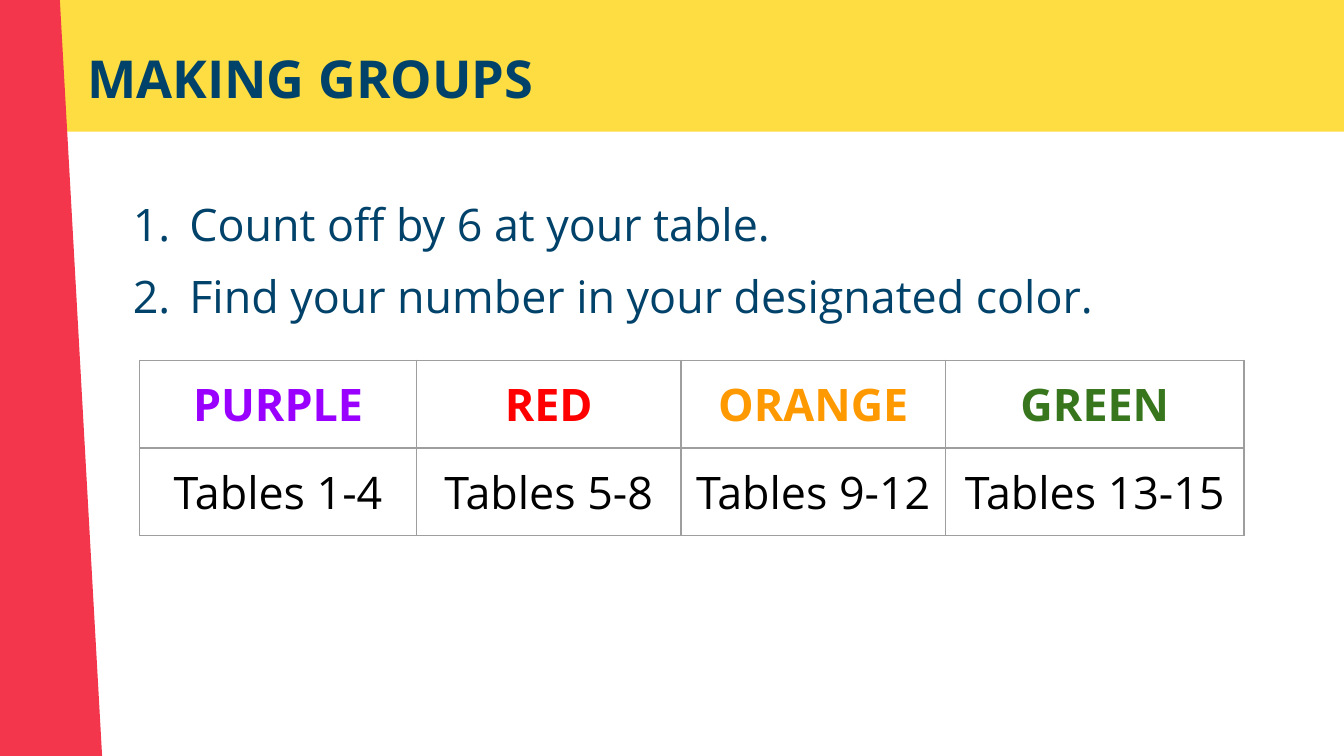
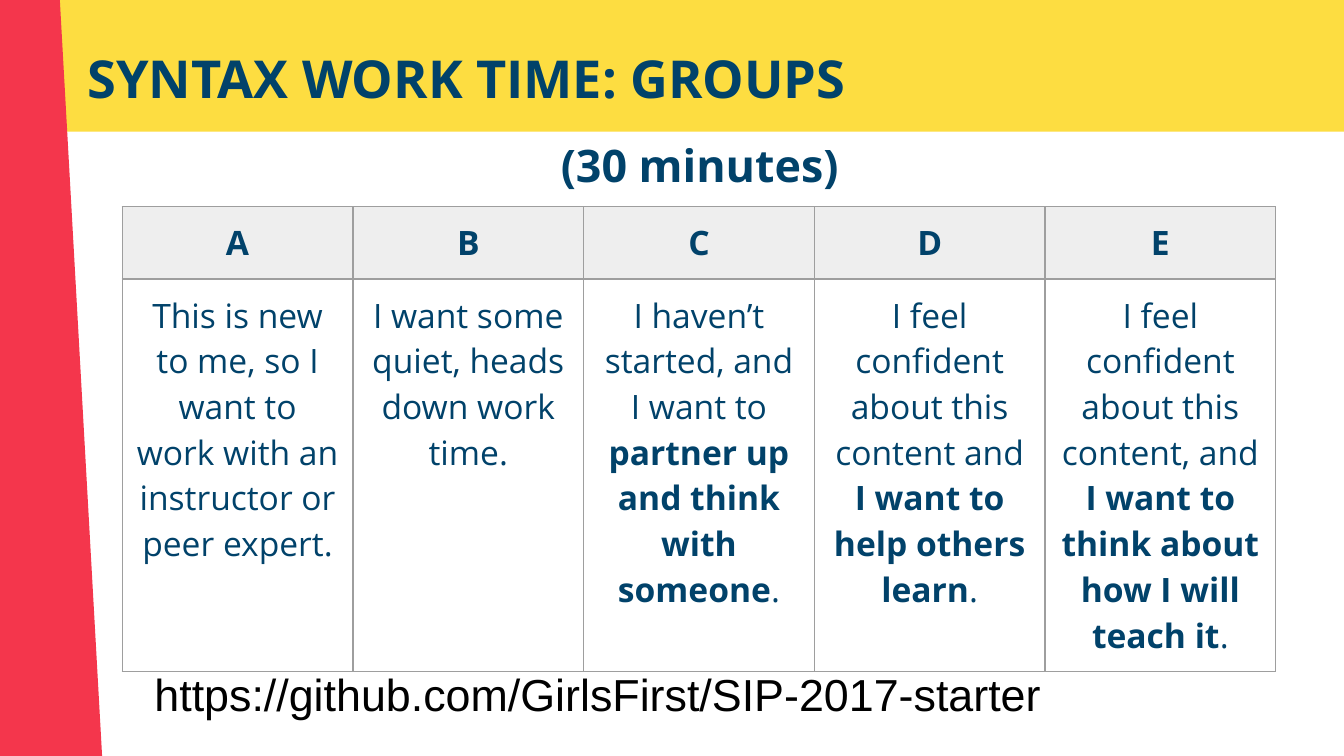
from dataclasses import dataclass

from lxml import etree
from pptx import Presentation
from pptx.dml.color import RGBColor
from pptx.enum.shapes import MSO_SHAPE
from pptx.enum.text import MSO_ANCHOR, MSO_AUTO_SIZE, PP_ALIGN
from pptx.oxml.ns import qn
from pptx.slide import Slide
from pptx.table import _Cell
from pptx.text.text import TextFrame, _Paragraph
from pptx.util import Cm, Pt

RECTANGLE = MSO_SHAPE.RECTANGLE
TOP, MIDDLE = MSO_ANCHOR.TOP, MSO_ANCHOR.MIDDLE
NO_FIT, SHRINK = MSO_AUTO_SIZE.NONE, MSO_AUTO_SIZE.TEXT_TO_FIT_SHAPE
LEFT, CENTER = PP_ALIGN.LEFT, PP_ALIGN.CENTER

NAVY, YELLOW, CORAL = "01426A", "FDDD41", "F4364C"
BLACK, HEADER_GRAY, GRID_GRAY = "000000", "EEEEEE", "9E9E9E"
INSET = Cm(0.25)
BOLD_MARK = "|"


@dataclass(frozen=True)
class Area:
    left: float
    top: float
    width: float
    height: float

    def lengths(self) -> tuple[Cm, Cm, Cm, Cm]:
        return Cm(self.left), Cm(self.top), Cm(self.width), Cm(self.height)


@dataclass(frozen=True)
class Band:
    area: Area
    color: str
    rotation: float = 0


@dataclass(frozen=True)
class Entry:
    text: str
    color: str = NAVY
    bold: bool = False
    fill: str | None = None


@dataclass(frozen=True)
class Grid:
    left: float
    top: float
    columns: list[float]
    row_height: float
    size: int
    rows: list[list[Entry]]


BANDS = [
    Band(Area(-2.13, -0.05, 27.94, 2.54), YELLOW),
    Band(Area(-13.03, 1.78, 25.93, 2.74), CORAL, 86.8),
]
TITLE_AREA = Area(1.4, 0.66, 23.67, 1.6)

COLOR_GROUPS = [
    ("PURPLE", "9900FF", "Tables 1-4"),
    ("RED", "FF0000", "Tables 5-8"),
    ("ORANGE", "FF9900", "Tables 9-12"),
    ("GREEN", "38761D", "Tables 13-15"),
]
WORK_GROUPS = {
    "A": "This is new to me, so I want to work with an instructor or peer expert.",
    "B": "I want some quiet, heads down work time.",
    "C": "I haven’t started, and I want to |partner up and think with someone|.",
    "D": "I feel confident about this content and |I want to help others learn|.",
    "E": "I feel confident about this content, and |I want to think about how I will teach it|.",
}


def rgb(value: str) -> RGBColor:
    return RGBColor.from_string(value)


def number_paragraph(paragraph: _Paragraph, color: str) -> None:
    properties = paragraph._p.get_or_add_pPr()
    properties.set("marL", str(Cm(1.27)))
    properties.set("indent", str(-Cm(1.07)))
    number_color = etree.SubElement(properties, qn("a:buClr"))
    etree.SubElement(number_color, qn("a:srgbClr")).set("val", color)
    etree.SubElement(properties, qn("a:buAutoNum")).set("type", "arabicPeriod")


def write_text(frame: TextFrame, text: str, *, size: int, color: str = NAVY,
               bold: bool = False, font: str = "Open Sans", align: PP_ALIGN = LEFT,
               numbered: bool = False) -> None:
    for index, line in enumerate(text.split("\n")):
        paragraph = frame.add_paragraph() if index else frame.paragraphs[0]
        if numbered:
            number_paragraph(paragraph, color)
            paragraph.line_spacing = 1.15
            paragraph.space_after = Pt(10)
        paragraph.alignment = align
        for part, words in enumerate(line.split(BOLD_MARK)):
            run = paragraph.add_run()
            run.text = words
            run.font.name = font
            run.font.size = Pt(size)
            run.font.bold = bold or part % 2 == 1
            run.font.color.rgb = rgb(color)


def add_text(slide: Slide, area: Area, text: str, *, anchor: MSO_ANCHOR = MIDDLE,
             fit: MSO_AUTO_SIZE = NO_FIT, **text_format) -> None:
    frame = slide.shapes.add_textbox(*area.lengths()).text_frame
    frame.word_wrap = True
    frame.auto_size = fit
    frame.vertical_anchor = anchor
    frame.margin_left = frame.margin_right = INSET
    frame.margin_top = frame.margin_bottom = INSET
    write_text(frame, text, **text_format)


def add_band(slide: Slide, band: Band) -> None:
    stripe = slide.shapes.add_shape(RECTANGLE, *band.area.lengths())
    stripe.shadow.inherit = False
    stripe.fill.solid()
    stripe.fill.fore_color.rgb = rgb(band.color)
    stripe.line.fill.background()
    stripe.rotation = band.rotation


def border_cell(cell: _Cell) -> None:
    properties = cell._tc.get_or_add_tcPr()
    for position, side in enumerate(("lnL", "lnR", "lnT", "lnB")):
        border = etree.Element(qn(f"a:{side}"), w=str(Pt(0.75)))
        fill = etree.SubElement(border, qn("a:solidFill"))
        etree.SubElement(fill, qn("a:srgbClr")).set("val", GRID_GRAY)
        properties.insert(position, border)


def fill_cell(cell: _Cell, entry: Entry, size: int) -> None:
    cell.margin_left = cell.margin_right = INSET
    cell.margin_top = cell.margin_bottom = INSET
    if entry.fill:
        cell.fill.solid()
        cell.fill.fore_color.rgb = rgb(entry.fill)
    else:
        cell.fill.background()
    border_cell(cell)
    write_text(cell.text_frame, entry.text, size=size, color=entry.color,
               bold=entry.bold, align=CENTER)


def add_grid(slide: Slide, grid: Grid) -> None:
    area = Area(grid.left, grid.top, sum(grid.columns), grid.row_height * len(grid.rows))
    table = slide.shapes.add_table(
        len(grid.rows), len(grid.columns), *area.lengths()).table
    table.first_row = table.horz_banding = False
    for column, width in zip(table.columns, grid.columns):
        column.width = Cm(width)
    for row, entries in zip(table.rows, grid.rows):
        row.height = Cm(grid.row_height)
        for cell, entry in zip(row.cells, entries):
            fill_cell(cell, entry, grid.size)


def add_titled_slide(deck: Presentation, title: str) -> Slide:
    slide = deck.slides.add_slide(deck.slide_layouts[6])
    for band in BANDS:
        add_band(slide, band)
    add_text(slide, TITLE_AREA, title, size=28, bold=True)
    return slide


def build_making_groups(deck: Presentation) -> None:
    slide = add_titled_slide(deck, "MAKING GROUPS")
    steps = "Count off by 6 at your table.\nFind your number in your designated color."
    add_text(slide, Area(2.06, 3.43, 21.03, 3.15), steps, size=24,
             anchor=TOP, fit=SHRINK, numbered=True)
    names = [Entry(name, color, bold=True) for name, color, _ in COLOR_GROUPS]
    seats = [Entry(tables, BLACK) for _, _, tables in COLOR_GROUPS]
    add_grid(slide, Grid(2.64, 6.81, [5.23, 5, 5, 5.64], 1.07, 24, [names, seats]))


def build_work_time(deck: Presentation) -> None:
    slide = add_titled_slide(deck, "SYNTAX WORK TIME: GROUPS")
    letters = [Entry(letter, bold=True, fill=HEADER_GRAY) for letter in WORK_GROUPS]
    needs = [Entry(need) for need in WORK_GROUPS.values()]
    add_grid(slide, Grid(2.31, 3.91, [4.36] * len(letters), 1.19, 18, [letters, needs]))
    add_text(slide, Area(9.73, 2.31, 6.99, 1.6), "(30 minutes)",
             size=24, bold=True, align=CENTER)
    add_text(slide, Area(2.67, 12.32, 18.95, 1.6),
             "https://github.com/GirlsFirst/SIP-2017-starter",
             size=24, color=BLACK, font="Arial")


def main() -> None:
    deck = Presentation()
    deck.slide_width, deck.slide_height = Cm(25.4), Cm(14.29)
    build_making_groups(deck)
    build_work_time(deck)
    deck.save("out.pptx")


if __name__ == "__main__":
    main()
